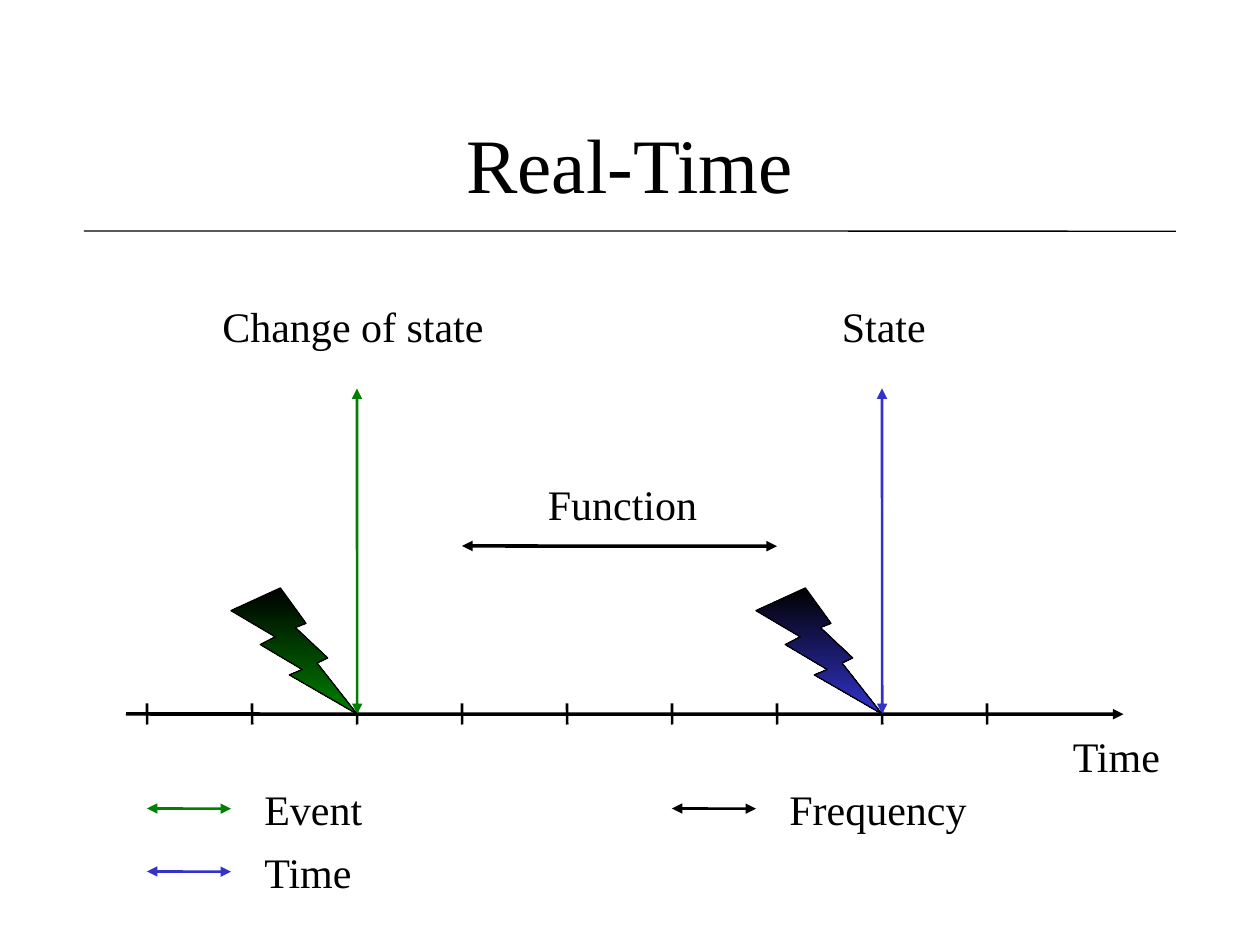
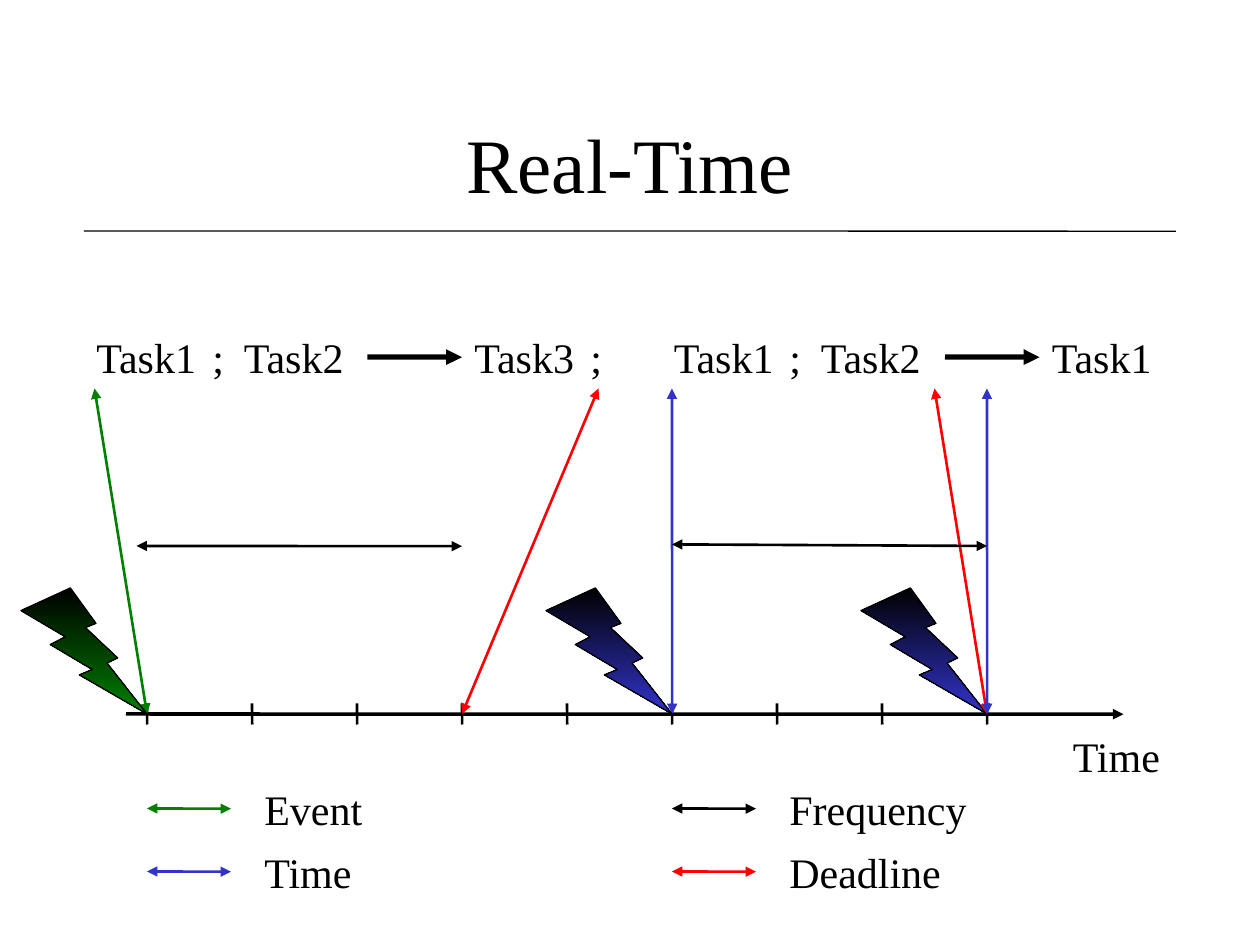
from dataclasses import dataclass
from typing import Any

from lxml.etree import SubElement
from pptx import Presentation
from pptx.dml.color import RGBColor
from pptx.enum.shapes import MSO_CONNECTOR, MSO_SHAPE
from pptx.enum.text import MSO_ANCHOR, MSO_AUTO_SIZE, PP_ALIGN
from pptx.oxml.ns import qn
from pptx.util import Emu, Inches, Pt

COLUMNS, ROWS = 120, 90
SLIDE_WIDTH, SLIDE_HEIGHT = Inches(10), Inches(7.5)

BLACK, GREEN, BLUE, RED = "000000", "008000", "3333CC", "FF0000"
EVENT, TIME, FREQUENCY, DEADLINE = GREEN, BLUE, BLACK, RED

TITLE_FONT = {"name": "Times New Roman", "size": Pt(44), "bold": False}
LABEL_FONT = {"name": "Times New Roman", "size": Pt(24), "bold": False}
TITLE_FRAME = {"vertical_anchor": MSO_ANCHOR.MIDDLE, "word_wrap": True,
               "auto_size": MSO_AUTO_SIZE.NONE}
LABEL_FRAME = {"vertical_anchor": MSO_ANCHOR.TOP, "word_wrap": False,
               "auto_size": MSO_AUTO_SIZE.SHAPE_TO_FIT_TEXT}
MARGINS = {"margin_left": Inches(0.1), "margin_right": Inches(0.1),
           "margin_top": Inches(0.05), "margin_bottom": Inches(0.05)}

AXIS_ROW, ARROW_TOP_ROW, SPAN_ROW, TASK_ROW = 68, 37, 52, 31
LABEL_HEIGHT, BOLT_SIZE = 6, 12
HAIR = 0.02  # slight slant that keeps upright and level lines smooth
TICKS = [14 + 10 * index for index in range(9)]
LABEL_WIDTHS = {"State": 10.6, "Change of state": 27.5, "Function": 16.8,
                "Time": 11, "Event": 12, "Frequency": 19.5,
                "Deadline": 17, "Task1": 12.3, "Task2": 12.3,
                "Task3": 12.3, ";": 3.7}


@dataclass(frozen=True)
class Line:
    start: tuple[float, float]
    end: tuple[float, float]
    color: str = BLACK
    width: float = 1.5
    heads: tuple[str, ...] = ()


@dataclass(frozen=True)
class Label:
    text: str
    column: float
    row: float


@dataclass(frozen=True)
class Bolt:
    """A lightning bolt whose tip strikes the axis at a tick."""
    tick: int
    color: str


Mark = Line | Label | Bolt


def across(columns: float) -> Emu:
    return Emu(round(SLIDE_WIDTH * columns / COLUMNS))


def down(rows: float) -> Emu:
    return Emu(round(SLIDE_HEIGHT * rows / ROWS))


def rgb(color: str) -> RGBColor:
    return RGBColor.from_string(color)


def apply(target: Any, values: dict[str, Any]) -> None:
    for name, value in values.items():
        setattr(target, name, value)


def double_arrow(start: tuple[float, float], end: tuple[float, float],
                 color: str, width: float = 1.5) -> Line:
    return Line(start, end, color, width, ("headEnd", "tailEnd"))


def pointer(top_column: float, tick: int, color: str) -> Line:
    """A double arrow from the task row down to a tick of the axis."""
    return double_arrow((top_column, ARROW_TOP_ROW), (TICKS[tick], AXIS_ROW), color)


def legend_entry(text: str, color: str, column: int, row: int) -> list[Mark]:
    left, middle = 14 + 50 * column, 77 + 6 * row
    return [double_arrow((left, middle), (left + 8, middle), color),
            Label(text, left + 10, middle - 3)]


def draw_line(slide: Any, line: Line) -> None:
    (left, top), (right, bottom) = line.start, line.end
    if left == right:
        right += HAIR
    elif top == bottom:
        bottom += HAIR
    connector = slide.shapes.add_connector(
        MSO_CONNECTOR.STRAIGHT, across(left), down(top), across(right), down(bottom))
    connector.line.color.rgb = rgb(line.color)
    connector.line.width = Pt(line.width)
    outline = connector.line._get_or_add_ln()
    for head in line.heads:
        SubElement(outline, qn(f"a:{head}"), type="triangle")
    SubElement(connector._element.spPr, qn("a:effectLst"))


def write(shape: Any, text: str, font: dict[str, Any], frame: dict[str, Any],
          alignment: PP_ALIGN) -> None:
    apply(shape.text_frame, frame | MARGINS)
    paragraph = shape.text_frame.paragraphs[0]
    paragraph.text = text
    paragraph.alignment = alignment
    apply(paragraph.font, font)
    paragraph.font.color.rgb = rgb(BLACK)


def draw_label(slide: Any, label: Label) -> None:
    box = slide.shapes.add_textbox(
        across(label.column), down(label.row),
        across(LABEL_WIDTHS[label.text]), down(LABEL_HEIGHT))
    write(box, label.text, LABEL_FONT, LABEL_FRAME, PP_ALIGN.LEFT)


def draw_bolt(slide: Any, bolt: Bolt) -> None:
    shape = slide.shapes.add_shape(
        MSO_SHAPE.LIGHTNING_BOLT,
        across(TICKS[bolt.tick] - BOLT_SIZE), down(AXIS_ROW - BOLT_SIZE),
        across(BOLT_SIZE), down(BOLT_SIZE))
    shape.shadow.inherit = False
    shape.fill.gradient()
    shape.fill.gradient_angle = 270
    for stop, color in zip(shape.fill.gradient_stops, (BLACK, bolt.color)):
        stop.color.rgb = rgb(color)
    shape.line.color.rgb = rgb(BLACK)
    shape.line.width = Pt(0.75)


DRAWERS = {Line: draw_line, Label: draw_label, Bolt: draw_bolt}

TIMELINE: list[Mark] = [
    Line((8, 22), (112, 22), width=0.75),
    Line((12, AXIS_ROW), (107, AXIS_ROW), width=2, heads=("tailEnd",)),
    Label("Time", 101, AXIS_ROW + 1),
    *[Line((tick, AXIS_ROW - 1), (tick, AXIS_ROW + 1)) for tick in TICKS],
    *legend_entry("Event", EVENT, 0, 0),
    *legend_entry("Time", TIME, 0, 1),
    *legend_entry("Frequency", FREQUENCY, 1, 0),
]

STATES: list[Mark] = [
    Label("Change of state", 20, 28),
    Label("State", 79, 28),
    Label("Function", 51, 45),
    pointer(TICKS[2], 2, EVENT),
    pointer(TICKS[7], 7, TIME),
    double_arrow((TICKS[3], SPAN_ROW), (TICKS[6], SPAN_ROW), BLACK, 2),
    Bolt(7, TIME),
    Bolt(2, EVENT),
]

TASK_COLUMNS = [("Task1", 8), (";", 19.05), ("Task2", 22.05), ("Task3", 44),
                (";", 55.05), ("Task1", 63), (";", 74), ("Task2", 77),
                ("Task1", 99)]

TASKS: list[Mark] = [
    *[Label(text, column, TASK_ROW) for text, column in TASK_COLUMNS],
    *[Line((column, TASK_ROW + 3), (column + 9, TASK_ROW + 3), width=3,
           heads=("tailEnd",)) for column in (35, 90)],
    pointer(9, 0, EVENT),
    pointer(57, 3, DEADLINE),
    pointer(TICKS[5], 5, TIME),
    Bolt(0, EVENT),
    Bolt(5, TIME),
    Bolt(8, TIME),
    pointer(89, 8, DEADLINE),
    pointer(TICKS[8], 8, TIME),
    *legend_entry("Deadline", DEADLINE, 1, 1),
    double_arrow((13, SPAN_ROW), (TICKS[3], SPAN_ROW), FREQUENCY),
    double_arrow((TICKS[5], SPAN_ROW - 0.15), (TICKS[8], SPAN_ROW), FREQUENCY),
]


def add_timeline_slide(presentation: Any, title: str, marks: list[Mark]) -> None:
    slide = presentation.slides.add_slide(presentation.slide_layouts[5])
    heading = slide.shapes.title
    apply(heading, {"left": across(9), "top": down(8),
                    "width": across(102), "height": down(15)})
    write(heading, title, TITLE_FONT, TITLE_FRAME, PP_ALIGN.CENTER)
    for mark in TIMELINE + marks:
        DRAWERS[type(mark)](slide, mark)


def main() -> None:
    presentation = Presentation()
    apply(presentation, {"slide_width": SLIDE_WIDTH, "slide_height": SLIDE_HEIGHT})
    for marks in (STATES, TASKS):
        add_timeline_slide(presentation, "Real-Time", marks)
    presentation.save("out.pptx")


if __name__ == "__main__":
    main()
